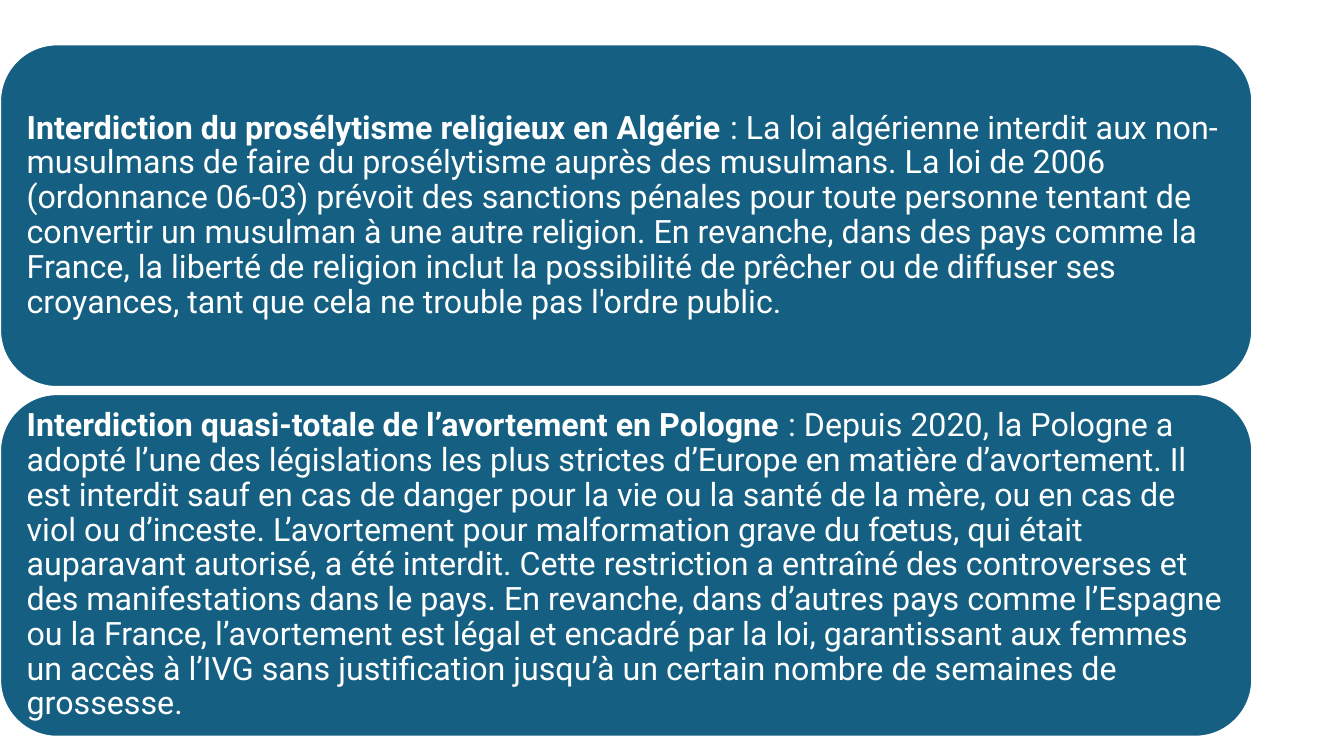
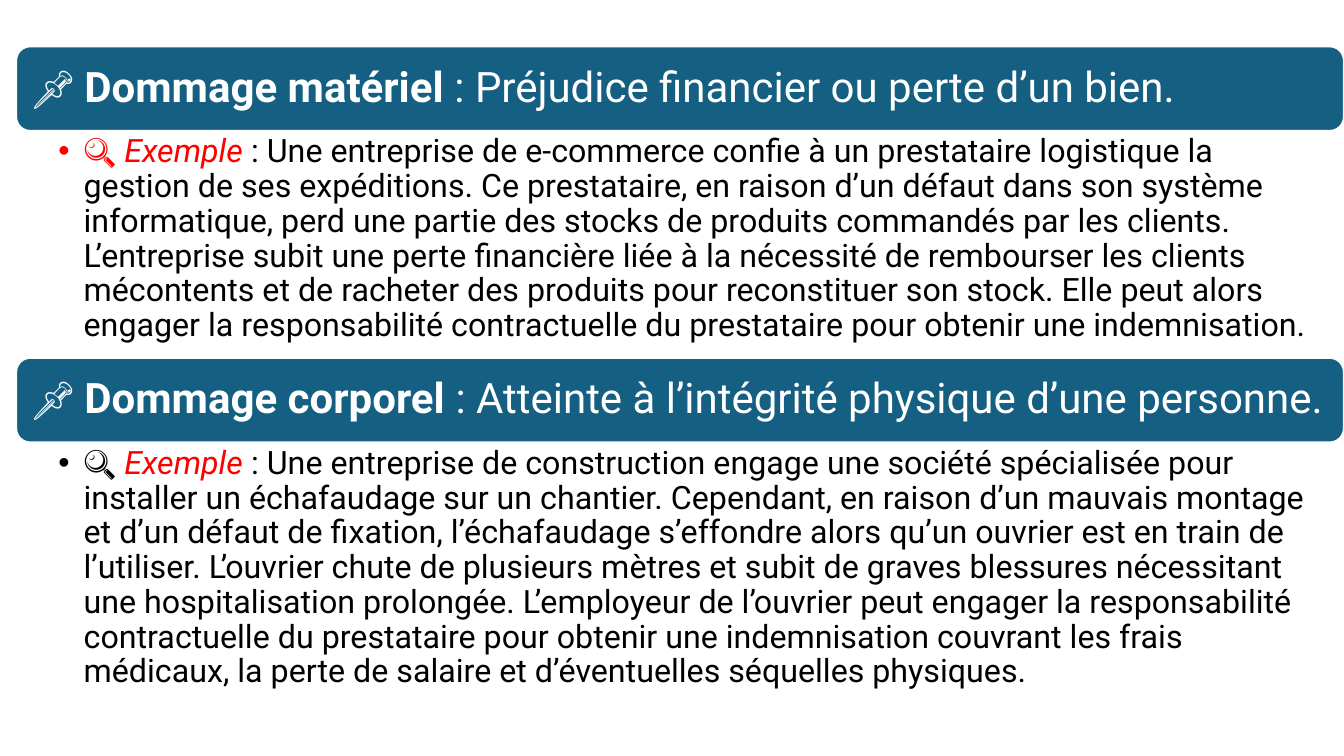
"""Build two slides on legal prohibitions and on kinds of damage."""
from lxml.etree import SubElement
from pptx import Presentation
from pptx.dml.color import RGBColor
from pptx.enum.shapes import MSO_SHAPE
from pptx.enum.text import MSO_ANCHOR, MSO_AUTO_SIZE, PP_ALIGN
from pptx.oxml.ns import qn
from pptx.util import Inches, Pt

BLUE = RGBColor(0x15, 0x60, 0x82)
WHITE = RGBColor(0xFF, 0xFF, 0xFF)
RED = RGBColor(0xFF, 0x00, 0x00)
BLACK = RGBColor(0x00, 0x00, 0x00)
FONT = "Roboto"
BODY_SIZE = 23
HEADING_SIZE = 30


def write_spans(paragraph, spans, size):
    """Write (text, colour, bold, italic) spans into a paragraph."""
    paragraph.line_spacing = 0.9
    paragraph.space_before = Pt(0)
    for text, colour, bold, italic in spans:
        span = paragraph.add_run()
        span.text = text
        span.font.name = FONT
        span.font.size = Pt(size)
        span.font.color.rgb = colour
        span.font.bold = bold
        span.font.italic = italic


def add_panel(page, left, top, width, height, margin, spans, size):
    """Add a blue rounded panel holding one left-aligned paragraph."""
    panel = page.shapes.add_shape(
        MSO_SHAPE.ROUNDED_RECTANGLE,
        Inches(left), Inches(top), Inches(width), Inches(height))
    panel.shadow.inherit = False
    panel.fill.solid()
    panel.fill.fore_color.rgb = BLUE
    panel.line.color.rgb = WHITE
    panel.line.width = Pt(1.5)
    frame = panel.text_frame
    frame.word_wrap = True
    frame.vertical_anchor = MSO_ANCHOR.MIDDLE
    frame.margin_left = frame.margin_right = Inches(margin)
    frame.margin_top = frame.margin_bottom = Inches(margin)
    paragraph = frame.paragraphs[0]
    paragraph.alignment = PP_ALIGN.LEFT
    write_spans(paragraph, spans, size)


deck = Presentation()
deck.slide_width = Inches(13.33)
deck.slide_height = Inches(7.5)

prohibitions = [
    ("Interdiction du prosélytisme religieux en Algérie",
     " : La loi algérienne interdit aux non-musulmans de faire du prosélytisme "
     "auprès des musulmans. La loi de 2006 (ordonnance 06-03) prévoit des "
     "sanctions pénales pour toute personne tentant de convertir un musulman à "
     "une autre religion. En revanche, dans des pays comme la France, la liberté "
     "de religion inclut la possibilité de prêcher ou de diffuser ses croyances, "
     "tant que cela ne trouble pas l'ordre public."),
    ("Interdiction quasi-totale de l’avortement en Pologne",
     " : Depuis 2020, la Pologne a adopté l’une des législations les plus "
     "strictes d’Europe en matière d’avortement. Il est interdit sauf en cas de "
     "danger pour la vie ou la santé de la mère, ou en cas de viol ou d’inceste. "
     "L’avortement pour malformation grave du fœtus, qui était auparavant "
     "autorisé, a été interdit. Cette restriction a entraîné des controverses et "
     "des manifestations dans le pays. En revanche, dans d’autres pays comme "
     "l’Espagne ou la France, l’avortement est légal et encadré par la loi, "
     "garantissant aux femmes un accès à l’IVG sans justification jusqu’à un "
     "certain nombre de semaines de grossesse."),
]
page = deck.slides.add_slide(deck.slide_layouts.get_by_name("Blank"))
for index, (heading, body) in enumerate(prohibitions):
    spans = [(heading, WHITE, True, False), (body, WHITE, False, False)]
    add_panel(page, 0, 0.44 + index * 3.47, 12.42, 3.4, 0.1, spans, BODY_SIZE)

damages = [
    (0.46, 2.24, "Dommage matériel", " : Préjudice financier ou perte d’un bien.",
     RED,
     " : Une entreprise de e-commerce confie à un prestataire logistique la "
     "gestion de ses expéditions. Ce prestataire, en raison d’un défaut dans son "
     "système informatique, perd une partie des stocks de produits commandés par "
     "les clients. L’entreprise subit une perte financière liée à la nécessité de "
     "rembourser les clients mécontents et de racheter des produits pour "
     "reconstituer son stock. Elle peut alors engager la responsabilité "
     "contractuelle du prestataire pour obtenir une indemnisation."),
    (3.55, 2.65, "Dommage corporel",
     " : Atteinte à l’intégrité physique d’une personne.",
     BLACK,
     " : Une entreprise de construction engage une société spécialisée pour "
     "installer un échafaudage sur un chantier. Cependant, en raison d’un mauvais "
     "montage et d’un défaut de fixation, l’échafaudage s’effondre alors qu’un "
     "ouvrier est en train de l’utiliser. L’ouvrier chute de plusieurs mètres et "
     "subit de graves blessures nécessitant une hospitalisation prolongée. "
     "L’employeur de l’ouvrier peut engager la responsabilité contractuelle du "
     "prestataire pour obtenir une indemnisation couvrant les frais médicaux, la "
     "perte de salaire et d’éventuelles séquelles physiques."),
]
left, width, band_height = 0.16, 13.17, 0.84
page = deck.slides.add_slide(deck.slide_layouts.get_by_name("Two Content"))
title = page.shapes.title.element
title.getparent().remove(title)
boxes = list(page.placeholders)
for box, damage in zip(boxes, damages):
    top, height, heading, definition, icon_colour, example = damage
    spans = [("📌 ", WHITE, False, False), (heading, WHITE, True, False),
             (definition, WHITE, False, False)]
    add_panel(page, left, top, width, band_height, 0.12, spans, HEADING_SIZE)

    box.left, box.top = Inches(left), Inches(top + band_height)
    box.width, box.height = Inches(width), Inches(height)
    frame = box.text_frame
    frame.word_wrap = True
    frame.auto_size = MSO_AUTO_SIZE.NONE
    frame.vertical_anchor = MSO_ANCHOR.TOP
    frame.margin_left, frame.margin_right = Inches(0.42), Inches(0.23)
    frame.margin_top = frame.margin_bottom = Inches(0.04)
    paragraph = frame.paragraphs[0]
    paragraph.level = 1
    properties = paragraph._p.get_or_add_pPr()
    properties.set("marL", str(Inches(0.25)))
    properties.set("indent", str(-Inches(0.25)))
    SubElement(properties, qn("a:buFont")).set("typeface", "Arial")
    SubElement(properties, qn("a:buChar")).set("char", "•")
    spans = [("🔍 ", icon_colour, False, False), ("Exemple", RED, False, True),
             (example, BLACK, False, False)]
    write_spans(paragraph, spans, BODY_SIZE)

deck.save("out.pptx")
